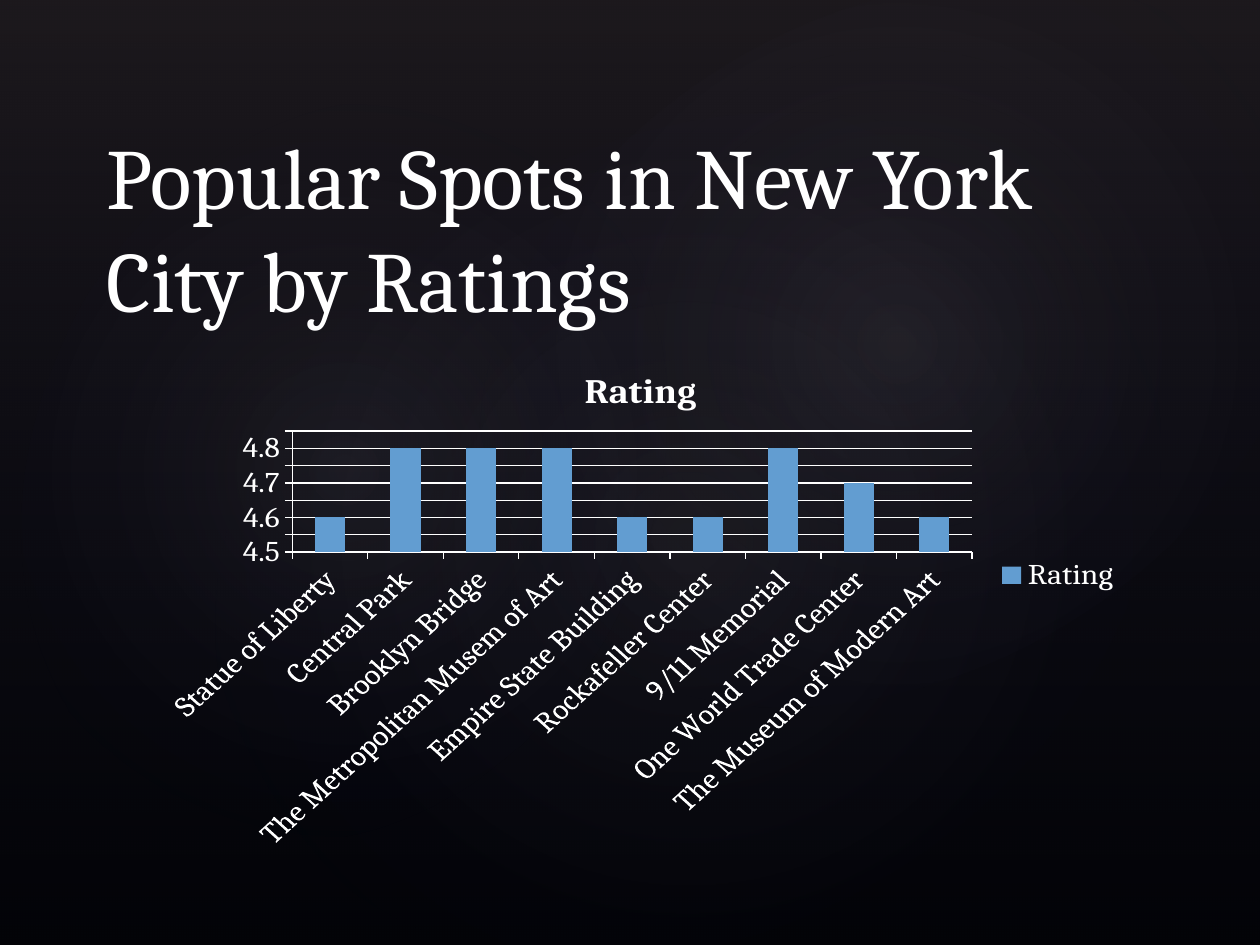
from dataclasses import dataclass

from lxml import etree
from pptx import Presentation
from pptx.chart.data import CategoryChartData
from pptx.dml.color import RGBColor
from pptx.enum.chart import XL_CHART_TYPE, XL_LEGEND_POSITION, XL_TICK_MARK
from pptx.enum.shapes import MSO_SHAPE
from pptx.enum.text import MSO_ANCHOR
from pptx.oxml.ns import qn
from pptx.util import Cm, Pt

RECT = MSO_SHAPE.RECTANGLE
OVAL = MSO_SHAPE.OVAL
BOTTOM = MSO_ANCHOR.BOTTOM
COLUMN = XL_CHART_TYPE.COLUMN_CLUSTERED
RIGHT = XL_LEGEND_POSITION.RIGHT
OUT = XL_TICK_MARK.OUTSIDE
NONE = XL_TICK_MARK.NONE

BLACK = RGBColor(0x00, 0x00, 0x00)
WHITE = RGBColor(0xFF, 0xFF, 0xFF)
NAVY = RGBColor(0x24, 0x28, 0x52)
PLUM = RGBColor(0x50, 0x46, 0x52)
MIST = RGBColor(0xC4, 0xBC, 0xC6)
BLUE = RGBColor(0x62, 0x9D, 0xD1)
FONT = "Cambria"


@dataclass
class Stop:
    place: int
    color: RGBColor
    alpha: int


@dataclass
class Glow:
    left: float
    top: float
    width: float
    height: float
    turn: float
    alpha: int


@dataclass
class Spot:
    name: str
    rating: float


GLOWS = [
    Glow(3.81, 2.9, 20.12, 15.85, 328.7, 7),
    Glow(-0.76, 3.25, 15.39, 12.45, 294.3, 8),
    Glow(9.09, 0.33, 18.01, 13.21, 328.7, 8),
]
SPOTS = [
    Spot("Statue of Liberty", 4.6),
    Spot("Central Park", 4.8),
    Spot("Brooklyn Bridge", 4.8),
    Spot("The Metropolitan Musem of Art", 4.8),
    Spot("Empire State Building", 4.6),
    Spot("Rockafeller Center", 4.6),
    Spot("9/11 Memorial", 4.8),
    Spot("One World Trade Center", 4.7),
    Spot("The Museum of Modern Art", 4.6),
]


def style(font, size: float, bold: bool = False) -> None:
    font.name, font.size, font.bold = FONT, Pt(size), bold
    font.color.rgb = WHITE


def put_text(frame, text: str, *, size: float, bold: bool = False) -> None:
    frame.word_wrap = True
    run = frame.paragraphs[0].add_run()
    run.text = text
    style(run.font, size, bold)


def shade(shape, stops: list[Stop], radial: bool = False) -> None:
    shape.shadow.inherit = False
    shape.line.fill.background()
    shape.fill.solid()
    grad = etree.Element(qn("a:gradFill"), rotWithShape="1")
    items = etree.SubElement(grad, qn("a:gsLst"))
    for stop in stops:
        item = etree.SubElement(items, qn("a:gs"), pos=str(stop.place * 1000))
        color = etree.SubElement(item, qn("a:srgbClr"), val=str(stop.color))
        etree.SubElement(color, qn("a:alpha"), val=str(stop.alpha * 1000))
    if radial:
        way = etree.SubElement(grad, qn("a:path"), path="circle")
        etree.SubElement(way, qn("a:fillToRect"), l="50000", t="50000", r="50000", b="50000")
    else:
        etree.SubElement(grad, qn("a:lin"), ang="5400000", scaled="0")
    props = shape.element.spPr
    props.replace(props.find(qn("a:solidFill")), grad)


def draw_back(slide, width: int, height: int) -> None:
    fill = slide.background.fill
    fill.solid()
    fill.fore_color.rgb = BLACK
    veil = slide.shapes.add_shape(RECT, 0, 0, width, height)
    shade(veil, [Stop(0, PLUM, 36), Stop(100, NAVY, 10)])
    for glow in GLOWS:
        oval = slide.shapes.add_shape(
            OVAL, Cm(glow.left), Cm(glow.top), Cm(glow.width), Cm(glow.height))
        oval.rotation = glow.turn
        shade(oval, [Stop(0, MIST, glow.alpha), Stop(58, NAVY, 0)], radial=True)


def draw_title(slide) -> None:
    box = slide.shapes.add_textbox(Cm(1.9), Cm(4.24), Cm(20.96), Cm(2.54))
    box.text_frame.vertical_anchor = BOTTOM
    put_text(box.text_frame, "Popular Spots in New York City by Ratings", size=49)


def draw_chart(slide) -> None:
    data = CategoryChartData()
    data.categories = [spot.name for spot in SPOTS]
    data.add_series("Rating", [spot.rating for spot in SPOTS])
    chart = slide.shapes.add_chart(
        COLUMN, Cm(2.97), Cm(6.99), Cm(19.89), Cm(10.16), data).chart
    style(chart.font, 18)
    chart.has_title = True
    put_text(chart.chart_title.text_frame, "Rating", size=21.6, bold=True)
    chart.chart_title.include_in_layout = False
    chart.has_legend = True
    chart.legend.position = RIGHT
    chart.legend.include_in_layout = False

    plot = chart.plots[0]
    plot.gap_width = 150
    plot.vary_by_categories = False
    bars = plot.series[0].format.fill
    bars.solid()
    bars.fore_color.rgb = BLUE

    scale = chart.value_axis
    scale.minimum_scale, scale.maximum_scale, scale.major_unit = 4.5, 4.85, 0.05
    scale.has_major_gridlines = True
    lines = [scale.major_gridlines.format.line]
    for axis in (chart.category_axis, scale):
        axis.major_tick_mark = OUT
        axis.minor_tick_mark = NONE
        lines.append(axis.format.line)
    for line in lines:
        line.color.rgb = WHITE
        line.width = Pt(0.75)


def main() -> None:
    deck = Presentation()
    deck.slide_width, deck.slide_height = Cm(25.4), Cm(19.05)
    slide = deck.slides.add_slide(deck.slide_layouts[6])
    draw_back(slide, deck.slide_width, deck.slide_height)
    draw_title(slide)
    draw_chart(slide)
    deck.save("out.pptx")


main()
